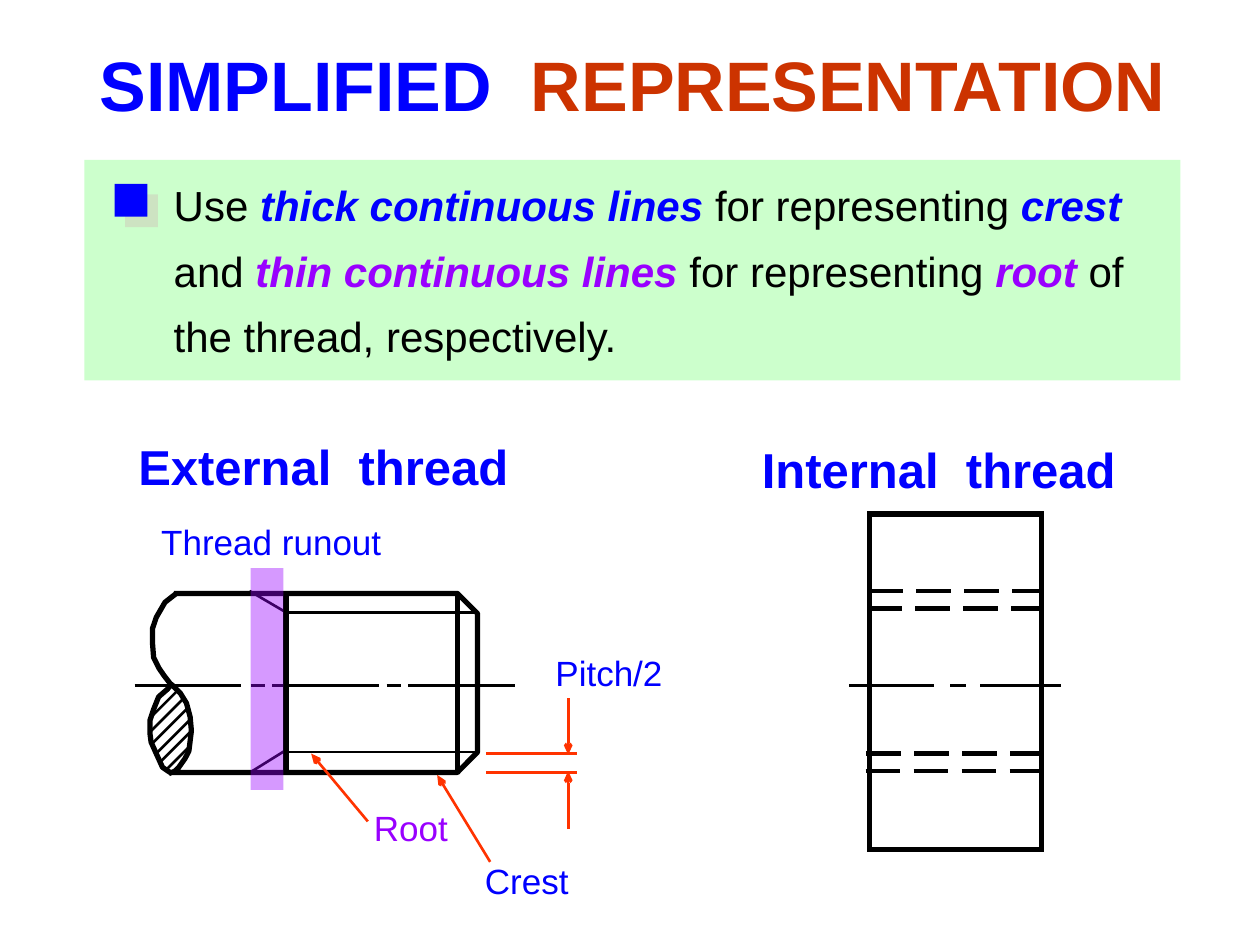
"""Build a slide on the simplified drawing of external and internal threads."""
from typing import NamedTuple

from lxml import etree
from pptx import Presentation
from pptx.dml.color import RGBColor
from pptx.enum.dml import MSO_LINE
from pptx.enum.shapes import MSO_CONNECTOR, MSO_SHAPE
from pptx.enum.text import MSO_AUTO_SIZE, PP_ALIGN
from pptx.oxml.ns import qn
from pptx.util import Pt

STRAIGHT = MSO_CONNECTOR.STRAIGHT
RECT = MSO_SHAPE.RECTANGLE
DASH = MSO_LINE.LONG_DASH
FIT = MSO_AUTO_SIZE.SHAPE_TO_FIT_TEXT
LEFT, CENTER = PP_ALIGN.LEFT, PP_ALIGN.CENTER

COLORS = {
    "blue": "0000FF", "rust": "CC3300", "black": "000000", "green": "CCFFCC",
    "purple": "9900FF", "red": "FF3300", "shade": "CEC8BA",
}
THIN, DASHED, THICK = 1.5, 2.5, 3


class Span(NamedTuple):
    text: str
    color: str = "black"
    strong: bool = False
    slant: bool = False
    space: float = 0


class Box(NamedTuple):
    left: float
    top: float
    width: float
    height: float


class Line(NamedTuple):
    x1: float
    y1: float
    x2: float
    y2: float
    color: str = "black"
    width: float = THIN
    dash: bool = False
    arrow: bool = False


def tint(name: str) -> RGBColor:
    return RGBColor.from_string(COLORS[name])


def write(slide, box: Box, rows: list[list[Span]], *, size: float,
          align=LEFT, leading: float = 1.0) -> None:
    frame = slide.shapes.add_textbox(*map(Pt, box)).text_frame
    frame.word_wrap = False
    frame.auto_size = FIT
    for i, row in enumerate(rows):
        para = frame.add_paragraph() if i else frame.paragraphs[0]
        para.alignment = align
        para.line_spacing = leading
        for span in row:
            run = para.add_run()
            run.text = span.text
            font = run.font
            font.name, font.size = "Arial", Pt(size)
            font.bold, font.italic = span.strong, span.slant
            font.color.rgb = tint(span.color)
            if span.space:
                run._r.get_or_add_rPr().set("spc", str(round(span.space * 100)))


def draw_line(slide, line: Line) -> None:
    ends = map(Pt, (line.x1, line.y1, line.x2, line.y2))
    link = slide.shapes.add_connector(STRAIGHT, *ends)
    link.line.color.rgb = tint(line.color)
    link.line.width = Pt(line.width)
    if line.dash:
        link.line.dash_style = DASH
    if line.arrow:
        etree.SubElement(link.line._get_or_add_ln(), qn("a:tailEnd"),
                         type="arrow", w="sm", len="med")
    etree.SubElement(link._element.spPr, qn("a:effectLst"))


def draw_rect(slide, box: Box, fill: str = "", edge: str = "", alpha: int = 100):
    shape = slide.shapes.add_shape(RECT, *map(Pt, box))
    shape.shadow.inherit = False
    if fill:
        shape.fill.solid()
        shape.fill.fore_color.rgb = tint(fill)
        if alpha < 100:
            color = shape._element.spPr.find(qn("a:solidFill"))[0]
            etree.SubElement(color, qn("a:alpha"), val=str(alpha * 1000))
    else:
        shape.fill.background()
    if edge:
        shape.line.color.rgb = tint(edge)
        shape.line.width = Pt(THICK)
        etree.SubElement(shape.line._get_or_add_ln(), qn("a:miter"), lim="800000")
    else:
        shape.line.fill.background()
    return shape


def cast_shade(shape) -> None:
    effects = shape._element.spPr.find(qn("a:effectLst"))
    shade = etree.SubElement(effects, qn("a:outerShdw"), blurRad="0",
                             dist=str(Pt(8.5)), dir=str(45 * 60000), algn="ctr")
    color = etree.SubElement(shade, qn("a:srgbClr"), val=COLORS["shade"])
    etree.SubElement(color, qn("a:alpha"), val="50000")


def draw_path(slide, points: list[tuple[float, float]]) -> None:
    first, *rest = [(Pt(x), Pt(y)) for x, y in points]
    build = slide.shapes.build_freeform(*first)
    build.add_line_segments(rest, close=False)
    shape = build.convert_to_shape()
    shape.shadow.inherit = False
    shape.fill.background()
    shape.line.color.rgb = tint("black")
    shape.line.width = Pt(THICK)


BOLT = [
    (99.4, 339.1), (261.4, 339.1), (272.9, 350.6), (272.9, 429.8), (261.4, 441.4),
    (97.2, 441.4), (92.9, 438.5), (89.3, 430.6), (86.4, 424.1), (85.7, 419),
    (85.7, 411.8), (87.8, 405.4), (90.7, 398.2), (95.8, 393.8), (97.9, 391),
    (103, 396), (106.6, 401.8), (108.7, 409.7), (109.4, 417.6), (108.7, 423.4),
    (108, 429.1), (105.8, 433.4), (102.2, 438.5), (100.1, 440.6), (96.5, 442.1),
]
BREAK = [
    (98.6, 392.4), (93.6, 385.9), (90.7, 381.6), (87.8, 375.8), (87.1, 367.2),
    (87.1, 359.3), (89.3, 352.8), (94.3, 344.2), (100.8, 339.1),
]
HATCH = [(87.1, 409, 14.4), (86.4, 417.6, 18), (87.1, 424.8, 20.2),
         (89.3, 430.6, 20.2), (91.4, 435.6, 18), (95, 439.9, 13)]
AXIS = 391.7
BOLT_AXIS = [(77, 137.5), (143.3, 151.2), (155.5, 216.7), (221, 229), (233.3, 294.5)]
NUT_AXIS = [(485.3, 533.5), (542.9, 552.2), (560.2, 606.2)]

BOLT_LINES = [
    Line(261.4, 339.1, 261.4, 442.1, width=THICK),
    Line(163.4, 338.4, 163.4, 441.4, width=THICK),
    Line(272.9, 349.9, 162.7, 349.9),
    Line(273.6, 429.8, 163.4, 429.8),
    Line(162.7, 429.1, 141.8, 442.1),
    Line(163.4, 349.9, 142.6, 337.7),
    *[Line(x, y, x + d, y - d) for x, y, d in HATCH],
    *[Line(a, AXIS, b, AXIS) for a, b in BOLT_AXIS],
]
CALLOUTS = [
    Line(277.9, 441.4, 329.8, 441.4, "red"),
    Line(277.9, 430.6, 329.8, 430.6, "red"),
    Line(324.7, 473.8, 324.7, 440.6, "red", arrow=True),
    Line(324.7, 398.9, 324.7, 431.3, "red", arrow=True),
    Line(210.2, 469.4, 177.8, 430.6, "red", arrow=True),
    Line(280.1, 492.5, 249.8, 442.8, "red", arrow=True),
]
NUT_LINES = [Line(a, AXIS, b, AXIS) for a, b in NUT_AXIS] + [
    Line(496.1 - i * 0.5, y, 595.1 - i * 0.5, y, width=DASHED, dash=True)
    for i, y in enumerate((337.7, 347.8, 430.6, 440.6))
]
RULE = [
    [Span("Use "), Span("thick continuous lines", "blue", True, True),
     Span(" for representing "), Span("crest", "blue", True, True)],
    [Span("and "), Span("thin continuous lines", "purple", True, True),
     Span(" for representing "), Span("root ", "purple", True, True), Span("of")],
    [Span("the thread, respectively.")],
]
HEADS = [
    (Box(42.8, 20.2, 637.3, 55.4), 40, ("SIMPLIFIED", "blue"), ("REPRESENTATION", "rust")),
    (Box(66, 246.2, 237.4, 41), 28, ("External", "blue"), ("thread", "blue")),
    (Box(422.4, 247.7, 228, 41), 28, ("Internal", "blue"), ("thread", "blue")),
]
LABELS = [
    (Box(310.3, 368.6, 77, 31.7), "Pitch/2", "blue"),
    (Box(206.6, 457.2, 58, 31.7), "Root", "purple"),
    (Box(270, 487.4, 64, 31.7), "Crest", "blue"),
    (Box(85, 293.8, 142, 31.7), "Thread runout", "blue"),
]


def main() -> None:
    deck = Presentation()
    deck.slide_width, deck.slide_height = Pt(720), Pt(540)
    slide = deck.slides.add_slide(deck.slide_layouts[6])
    for box, size, (start, hue), (end, tone) in HEADS:
        gap = Span(" ", hue, True, space=size * 0.28)
        row = [Span(start, hue, True), gap, Span(end, tone, True)]
        write(slide, box, [row], size=size, align=CENTER)
    draw_path(slide, BOLT)
    draw_path(slide, BREAK)
    for line in BOLT_LINES:
        draw_line(slide, line)
    draw_rect(slide, Box(48.2, 91.4, 626.4, 126), "green")
    write(slide, Box(92.2, 90.7, 557.3, 119.5), RULE, size=24, leading=1.3)
    cast_shade(draw_rect(slide, Box(65.5, 105.1, 18.7, 18.7), "blue"))
    draw_rect(slide, Box(496.8, 293.8, 98.6, 191.5), edge="black")
    for line in CALLOUTS + NUT_LINES:
        draw_line(slide, line)
    draw_rect(slide, Box(143.3, 324.7, 18.7, 126.7), "purple", alpha=40)
    for box, text, color in LABELS:
        write(slide, box, [[Span(text, color)]], size=20)
    deck.save("out.pptx")


if __name__ == "__main__":
    main()
